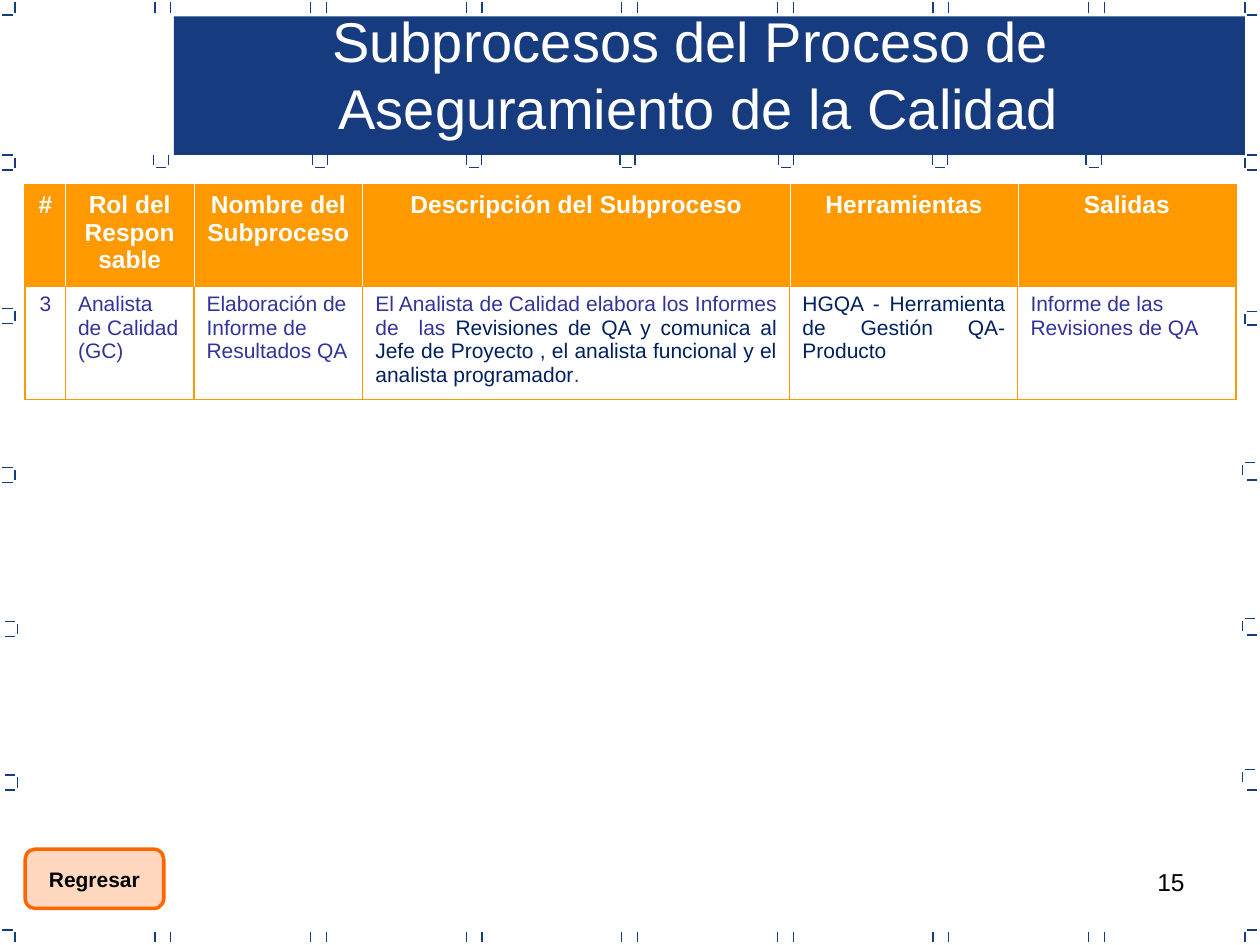
from pptx import Presentation, util as u
from pptx.dml.color import RGBColor
from pptx.enum import shapes, text
from pptx.oxml.ns import qn
from lxml import etree

NAVY, GOLD, FLAME, WHITE = "163B7F", "FF9900", "FF6600", "FFFFFF"
VIOLET, INK, BLACK = "333399", "002060", "000000"
AL = text.PP_ALIGN
TICK, GAP = 0.08, 0.02

deck = Presentation()
deck.slide_width, deck.slide_height = u.Inches(10), u.Inches(7.5)
slide = deck.slides.add_slide(deck.slide_layouts[6])


def hue(code):
    return RGBColor.from_string(code)


def inch(*vals):
    return [u.Inches(v) for v in vals]


def write(para, runs, size, align, bold=False, before=0, after=0):
    para.alignment = align
    para.space_before, para.space_after = u.Pt(before), u.Pt(after)
    for words, color in runs:
        run = para.add_run()
        run.text = words
        font = run.font
        font.name, font.size, font.bold = "Arial", u.Pt(size), bold
        font.color.rgb = hue(color)


def label(box, lines, size, align):
    frame = slide.shapes.add_textbox(*inch(*box)).text_frame
    frame.word_wrap = True
    for i, line in enumerate(lines):
        para = frame.add_paragraph() if i else frame.paragraphs[0]
        write(para, line, size, align)


# Border marks
def tick(x, y, dx=0, dy=0):
    line = slide.shapes.add_connector(
        shapes.MSO_CONNECTOR.STRAIGHT, *inch(x, y, x + dx, y + dy))
    line.line.color.rgb, line.line.width = hue(NAVY), u.Pt(0.74)
    etree.SubElement(line._element.spPr, qn("a:effectLst"))


def across(x, y):
    tick(x, y, dx=TICK)


def down(x, y):
    tick(x, y, dy=TICK)


def border(wide, high):
    for y in (GAP, high - 0.1):
        for col in range(7):
            x = 1.23 + 1.235 * col
            down(x, y)
            down(x + 0.125, y)
        for x in (0.12, wide - 0.12):
            down(x, y)
    for y in (0.12, high - 0.12):
        for x in (GAP, wide - 0.1):
            across(x, y)
    # Left hooks
    for x, y in ((0.02, 1.23), (0.02, 2.45), (0.02, 3.71), (0.04, 4.93), (0.04, 6.15)):
        across(x, y)
        across(x, y + 0.12)
        down(x + 0.1, y + GAP)
    # Right hooks
    for x, y in ((0.12, 1.23), (0.12, 2.47), (0.14, 3.67), (0.14, 4.91), (0.14, 6.11)):
        down(wide - x, y + GAP)
        across(wide - x + GAP, y)
    for row in range(1, 6):
        across(wide - 0.1, 0.12 + 1.23 * row)
    # Hooks below the title
    for x in (1.22, 2.48, 3.7, 4.92, 6.18, 7.4, 8.62):
        down(x, 1.23)
        down(x + 0.12, 1.23)
        across(x + GAP, 1.33)


# Title band
def banner(x, y, w, h):
    band = slide.shapes.add_shape(shapes.MSO_SHAPE.RECTANGLE, *inch(x, y, w, h))
    band.shadow.inherit = False
    band.fill.solid()
    band.fill.fore_color.rgb = hue(NAVY)
    band.line.fill.background()
    label((x + 0.08, y - 0.13, 8.17, 1.17),
          [[("Subprocesos del Proceso de ", WHITE)],
           [("Aseguramiento de la Calidad", WHITE)]], 32, AL.CENTER)


# Process table
def edge(cell, side, color, width):
    line = etree.SubElement(cell._tc.get_or_add_tcPr(), qn("a:ln" + side),
                            w=str(u.Pt(width)))
    fill = etree.SubElement(line, qn("a:solidFill"))
    etree.SubElement(fill, qn("a:srgbClr"), val=color)


def grid(x, y, cols, rows, head, body):
    table = slide.shapes.add_table(
        len(rows), len(cols), *inch(x, y, sum(cols), sum(rows))).table
    table.first_row = table.horz_banding = False
    for col, w in zip(table.columns, cols):
        col.width = u.Inches(w)
    for row, h in zip(table.rows, rows):
        row.height = u.Inches(h)
    last = len(cols) - 1
    for c, name in enumerate(head):
        runs, align, before, after = body[c]
        top, low = table.cell(0, c), table.cell(1, c)
        write(top.text_frame.paragraphs[0], [(name, WHITE)], 14, AL.CENTER, True, 3.5)
        write(low.text_frame.paragraphs[0], runs, 12, align, False, before, after)
        for cell, inner, above, below in ((top, (WHITE, 0.45), 1.08, 0.74),
                                          (low, (GOLD, 0.74), 0.74, 1.08)):
            outer = (GOLD, 1.08)
            edge(cell, "L", *(inner if c else outer))
            edge(cell, "R", *(inner if c < last else outer))
            edge(cell, "T", GOLD, above)
            edge(cell, "B", GOLD, below)
        top.fill.solid()
        top.fill.fore_color.rgb = hue(GOLD)
        low.fill.background()


# Return button
def button(box, words):
    key = slide.shapes.add_shape(
        shapes.MSO_SHAPE.FLOWCHART_ALTERNATE_PROCESS, *inch(*box))
    key.shadow.inherit = False
    key.fill.solid()
    key.fill.fore_color.rgb = hue(FLAME)
    tint = key.fill._xPr.find(".//" + qn("a:srgbClr"))
    etree.SubElement(tint, qn("a:alpha"), val="25000")
    key.line.color.rgb, key.line.width = hue(FLAME), u.Pt(2)
    frame = key.text_frame
    frame.word_wrap = False
    frame.vertical_anchor = text.MSO_ANCHOR.MIDDLE
    write(frame.paragraphs[0], [(words, BLACK)], 12, AL.CENTER, True)


label((7.17, 6.83, 2.33, 0.52), [[("15", BLACK)]], 14, AL.RIGHT)
border(10, 7.5)
banner(1.38, 0.13, 8.5, 1.1)
grid(0.2, 1.47, (0.32, 1.02, 1.34, 3.39, 1.81, 1.73), (0.8, 0.9),
     ("#", "Rol del Responsable", "Nombre del Subproceso",
      "Descripción del Subproceso", "Herramientas", "Salidas"),
     (([("3", VIOLET)], AL.CENTER, 7.1, 7.1),
      ([("Analista de Calidad (GC)", VIOLET)], AL.LEFT, 3, 0),
      ([("Elaboración de Informe de Resultados QA", VIOLET)], AL.LEFT, 3, 0),
      ([("El Analista de Calidad elabora los Informes de  las ", VIOLET),
        ("Revisiones de QA y comunica al Jefe de Proyecto , el analista "
         "funcional y el analista programador", INK),
        (".", VIOLET)], AL.JUSTIFY, 7.1, 7.1),
      ([("HGQA - Herramienta de Gestión QA-Producto", INK)], AL.JUSTIFY, 7.1, 7.1),
      ([("Informe de las Revisiones de QA", VIOLET)], AL.LEFT, 7.1, 7.1)))
button((0.2, 6.74, 1.1, 0.47), "Regresar")
deck.save("out.pptx")
